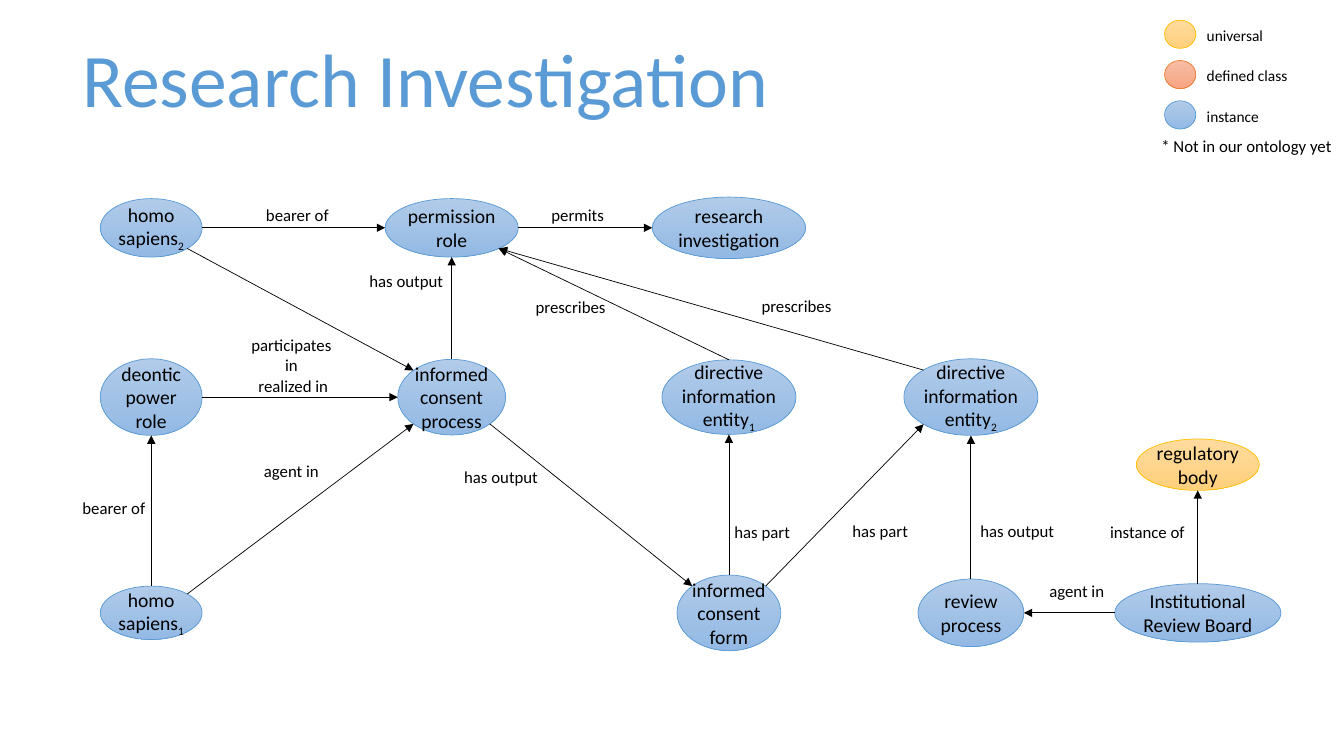
from math import sqrt

from lxml import etree
from pptx import Presentation
from pptx import util as u
from pptx.dml.color import RGBColor
from pptx.enum import shapes, text
from pptx.oxml.ns import qn

# Every length counts cells of a 13.33 x 7.5 grid of one-inch columns and rows.
COLUMNS, ROWS = 13.33, 7.5
FONT = "Calibri"
BLACK = RGBColor(0, 0, 0)
TITLE_BLUE = RGBColor(0x5B, 0x9B, 0xD5)

# Kind of entity: gradient start, gradient end, outline
UNIVERSAL = (RGBColor(0xFF, 0xDB, 0x9E), RGBColor(0xFF, 0xD0, 0x7C), RGBColor(0xFF, 0xC0, 0x00))
DEFINED = (RGBColor(0xF7, 0xBD, 0xA5), RGBColor(0xF8, 0xA5, 0x82), RGBColor(0xED, 0x7D, 0x31))
INSTANCE = (RGBColor(0xB1, 0xCB, 0xE9), RGBColor(0x93, 0xB9, 0xE4), TITLE_BLUE)

# Connection sites of an ellipse, in order, as directions from its centre
TOP, TOP_LEFT, LEFT, LOW_LEFT, BOTTOM, LOW_RIGHT, RIGHT, TOP_RIGHT = range(8)
D = sqrt(0.5)
SITES = [(0, -1), (-D, -D), (-1, 0), (-D, D), (0, 1), (D, D), (1, 0), (D, -D)]

# Centres of the diagram's columns and rows, relative to its box
C1, C2, C3, C4, C5 = 0.51, 3.49, 6.24, 8.64, 10.89
R1, R2, R3, R4 = 0.3, 1.98, 2.65, 4.12

# Key: wording, subscript, centre column, centre row, width, height, kind
NODES = {
    "body": ("regulatory body", "", C5, R3, 1.22, 0.51, UNIVERSAL),
    "board": ("Institutional Review Board", "", C5, R4, 1.65, 0.58, INSTANCE),
    "review": ("review process", "", C4, R4, 1.05, 0.67, INSTANCE),
    "human2": ("homo sapiens", "2", C1, R1, 1.01, 0.58, INSTANCE),
    "consent": ("informed consent process", "", C2, R2, 1.07, 0.75, INSTANCE),
    "permission": ("permission role", "", C2, R1, 1.32, 0.58, INSTANCE),
    "directive2": ("directive information entity", "2", C4, R2, 1.33, 0.76, INSTANCE),
    "directive1": ("directive information entity", "1", C3, R2, 1.33, 0.74, INSTANCE),
    "research": ("research investigation", "", C3, R1, 1.52, 0.61, INSTANCE),
    "form": ("informed consent form", "", C3, R4, 1.03, 0.75, INSTANCE),
    "deontic": ("deontic power role", "", C1, R2, 1.01, 0.76, INSTANCE),
    "human1": ("homo sapiens", "1", C1, R4, 1.01, 0.53, INSTANCE),
}

# Start, site, end, site, wording, centre of the wording, line width
RELATIONS = [
    ("board", TOP, "body", BOTTOM, "instance of", 10.39, 3.32, 0.5),
    ("board", LEFT, "review", RIGHT, "agent in", 9.69, 3.9, 0.75),
    ("review", TOP, "directive2", BOTTOM, "has output", 9.1, 3.31, 0.75),
    ("human1", TOP, "deontic", BOTTOM, "bearer of", 0.14, 3.08, 0.5),
    ("human2", RIGHT, "permission", LEFT, "bearer of", 1.96, 0.17, 0.5),
    ("human2", LOW_RIGHT, "consent", TOP_LEFT, "participates in", 1.9, 1.46, 0.5),
    ("human1", TOP_RIGHT, "consent", LOW_LEFT, "agent in", 1.9, 2.71, 0.5),
    ("consent", TOP, "permission", BOTTOM, "has output", 3.04, 0.83, 0.5),
    ("directive1", TOP, "permission", LOW_RIGHT, "prescribes", 4.67, 1.08, 0.5),
    ("directive2", TOP_LEFT, "permission", LOW_RIGHT, "prescribes", 6.91, 1.07, 0.5),
    ("permission", RIGHT, "research", LEFT, "permits", 4.74, 0.17, 0.5),
    ("form", TOP, "directive1", BOTTOM, "has part", 6.57, 3.32, 0.5),
    ("form", TOP_RIGHT, "directive2", LOW_LEFT, "has part", 7.74, 3.31, 0.5),
    ("consent", LOW_RIGHT, "form", TOP_LEFT, "has output", 3.98, 2.77, 0.5),
    ("deontic", RIGHT, "consent", LEFT, "realized in", 1.92, 1.87, 0.5),
]


def cells(*lengths):
    """Turn grid cells into slide lengths."""
    return [u.Inches(n) for n in lengths]


def style(p, size, color=BLACK, align=text.PP_ALIGN.LEFT):
    """Set the font and alignment of a paragraph."""
    p.alignment = align
    p.font.name, p.font.size = FONT, u.Pt(size)
    p.font.color.rgb = color


def add_label(s, box, words, size, color=BLACK, align=text.PP_ALIGN.LEFT):
    """Write one line of text in a box."""
    tf = s.shapes.add_textbox(*cells(*box)).text_frame
    tf.word_wrap = False
    tf.auto_size = text.MSO_AUTO_SIZE.SHAPE_TO_FIT_TEXT
    p = tf.paragraphs[0]
    p.text = words
    style(p, size, color, align)


def add_ellipse(s, box, kind):
    """Draw an ellipse in the colours of its kind."""
    start, end, outline = kind
    sp = s.shapes.add_shape(shapes.MSO_SHAPE.OVAL, *cells(*box))
    sp.shadow.inherit = False
    sp.fill.gradient()
    sp.fill.gradient_angle = 270
    for stop, color in zip(sp.fill.gradient_stops, (start, end)):
        stop.color.rgb = color
    sp.line.color.rgb, sp.line.width = outline, u.Pt(0.5)
    return sp


def add_node(s, left, top, node):
    """Draw a node with its wording, relative to the diagram's corner."""
    words, subscript, x, y, w, h, kind = node
    sp = add_ellipse(s, (left + x - w / 2, top + y - h / 2, w, h), kind)
    tf = sp.text_frame
    tf.word_wrap = True
    tf.vertical_anchor = text.MSO_ANCHOR.MIDDLE
    tf.margin_left = tf.margin_right = tf.margin_top = tf.margin_bottom = 0
    p = tf.paragraphs[0]
    p.text = words
    style(p, 14, align=text.PP_ALIGN.CENTER)
    if subscript:
        r = p.add_run()
        r.text = subscript
        r.font._element.set("baseline", "-25000")
    return sp


def site_point(sp, site):
    """Return the place of a connection site on an ellipse."""
    dx, dy = SITES[site]
    return (int(sp.left + sp.width * (1 + dx) / 2),
            int(sp.top + sp.height * (1 + dy) / 2))


def add_arrow(s, start, start_site, end, end_site, width):
    """Join two ellipses by an arrow attached to their sites."""
    cx = s.shapes.add_connector(shapes.MSO_CONNECTOR.STRAIGHT,
                                *site_point(start, start_site), *site_point(end, end_site))
    cx.line.color.rgb, cx.line.width = BLACK, u.Pt(width)
    props = cx._element.nvCxnSpPr.cNvCxnSpPr
    for tag, sp, site in (("a:stCxn", start, start_site), ("a:endCxn", end, end_site)):
        etree.SubElement(props, qn(tag), id=str(sp.shape_id), idx=str(site))
    etree.SubElement(cx.line._get_or_add_ln(), qn("a:tailEnd"), type="triangle")
    etree.SubElement(cx._element.spPr, qn("a:effectLst"))


def add_legend(s, left, top):
    """List the kinds of entity, with the note below them."""
    entries = [("universal", 0.77, UNIVERSAL), ("defined class", 1.01, DEFINED),
               ("instance", 0.72, INSTANCE)]
    for i, (words, width, kind) in enumerate(entries):
        y = top + 0.4 * i
        add_ellipse(s, (left, y, 0.31, 0.28), kind)
        add_label(s, (left + 0.32, y + 0.01, width, 0.29), words, 11)
    add_label(s, (left - 0.13, top + 1.1, 1.91, 0.3), "* Not in our ontology yet", 12)


def add_diagram(s, left, top):
    """Draw the entities and the relations between them."""
    nodes = {key: add_node(s, left, top, node) for key, node in NODES.items()}
    for start, start_site, end, end_site, words, x, y, width in RELATIONS:
        add_arrow(s, nodes[start], start_site, nodes[end], end_site, width)
        add_label(s, (left + x - 0.5, top + y - 0.15, 1, 0.3), words, 12,
                  align=text.PP_ALIGN.CENTER)


def main():
    """Build the slide and save it."""
    prs = Presentation()
    prs.slide_width, prs.slide_height = cells(COLUMNS, ROWS)
    s = prs.slides.add_slide(prs.slide_layouts[6])
    add_label(s, (0.72, 0.27, 9.97, 1.01), "Research Investigation", 54, TITLE_BLUE)
    add_legend(s, 11.55, 0.2)
    add_diagram(s, 0.99, 1.96)
    prs.save("out.pptx")


main()
